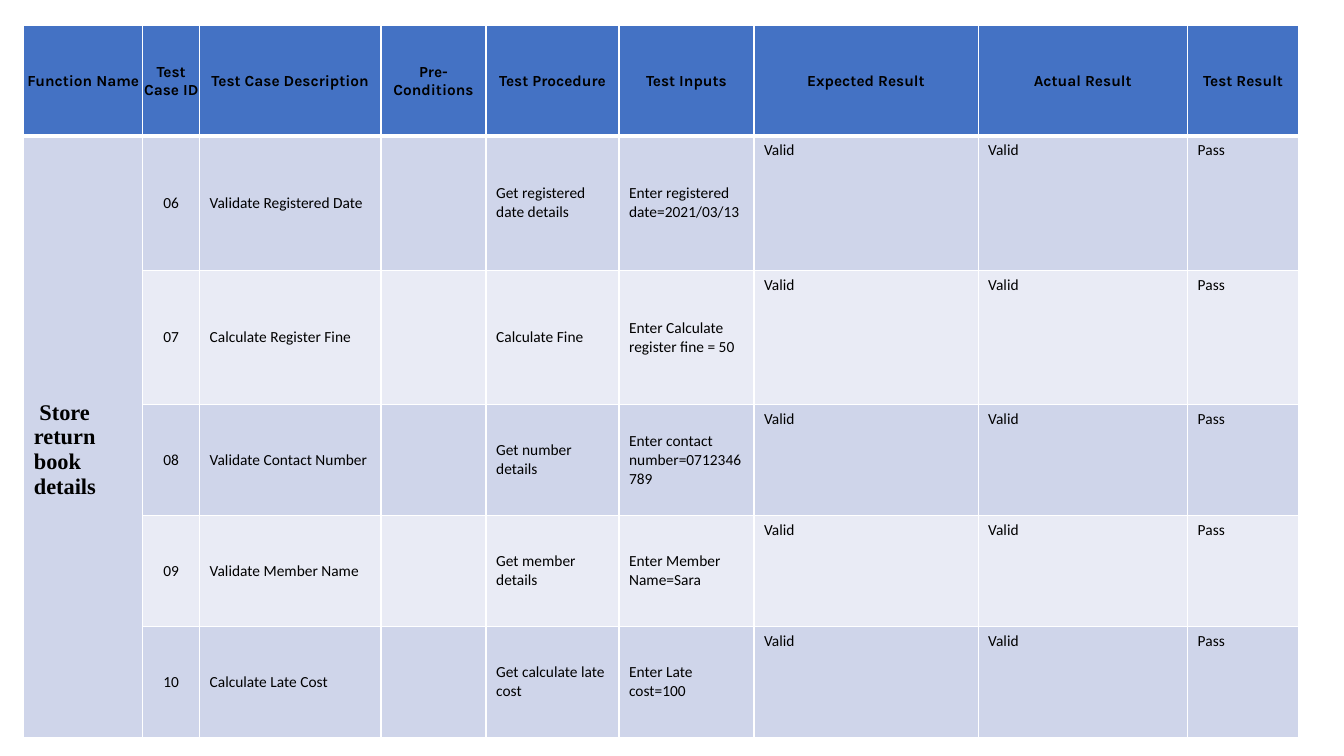
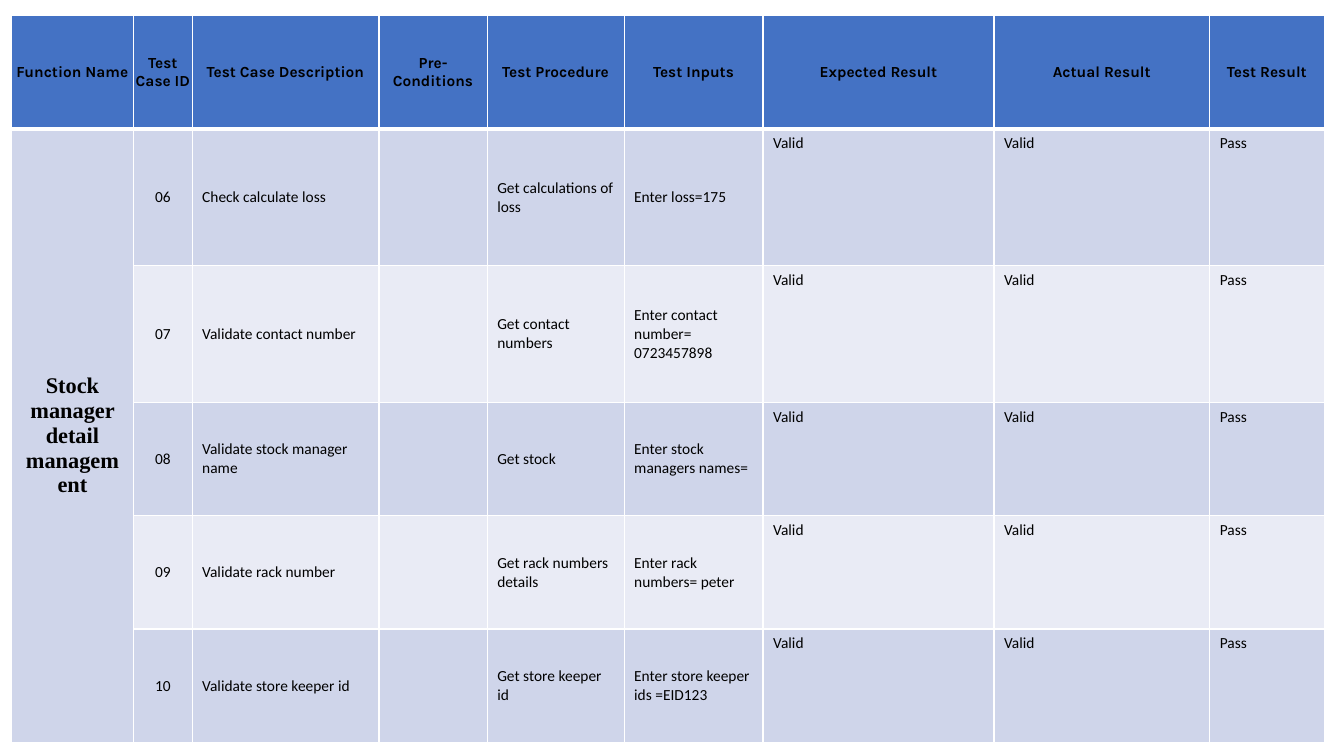
from lxml.etree import SubElement
from pptx import Presentation
from pptx.dml.color import RGBColor
from pptx.enum.text import MSO_ANCHOR as Anchor, PP_ALIGN as Align
from pptx.oxml.ns import qn
from pptx.util import Cm, Pt

COLOURS = {"header": "4472C4", "odd": "CFD5EA", "even": "E9EBF5", "border": "FFFFFF", "text": "000000"}
HEADERS = ["Function Name", "Test Case ID", "Test Case Description", "Pre-Conditions", "Test Procedure",
           "Test Inputs", "Expected Result", "Actual Result", "Test Result"]
COLUMN_WIDTHS = [3, 1.43, 4.57, 2.65, 3.35, 3.4, 5.65, 5.28, 2.8]
ROW_HEIGHTS = [2.8, 3.38, 3.38, 2.8, 2.8, 2.8]
FIRST_CASE = 6

RETURN_CASES = [
    ("Validate Registered Date", "Get registered date details", "Enter registered date=2021/03/13"),
    ("Calculate Register Fine", "Calculate Fine", "Enter Calculate register fine = 50"),
    ("Validate Contact Number", "Get number details", "Enter contact number=0712346789"),
    ("Validate Member Name", "Get member details", "Enter Member Name=Sara"),
    ("Calculate Late Cost", "Get calculate late cost", "Enter Late cost=100"),
]
STOCK_CASES = [
    ("Check calculate loss", "Get calculations of loss", "Enter loss=175"),
    ("Validate contact number", "Get contact numbers", "Enter contact number=\n0723457898"),
    ("Validate stock manager name", "Get stock", "Enter stock managers names="),
    ("Validate rack number", "Get rack numbers details", "Enter rack numbers= peter"),
    ("Validate store keeper id", "Get store keeper id", "Enter store keeper ids =EID123"),
]


def set_borders(cell, top=1, bottom=1):
    """Draw the four cell borders, with widths in points."""
    properties = cell._tc.get_or_add_tcPr()
    widths = {"a:lnL": 1, "a:lnR": 1, "a:lnT": top, "a:lnB": bottom}
    for position, (tag, width) in enumerate(widths.items()):
        line = SubElement(properties, qn(tag), w=str(Pt(width)))
        fill = SubElement(line, qn("a:solidFill"))
        SubElement(fill, qn("a:srgbClr"), val=COLOURS["border"])
        properties.insert(position, line)


def fill_cell(cell, colour, top=1, bottom=1):
    """Give a cell its background and borders."""
    cell.fill.solid()
    cell.fill.fore_color.rgb = RGBColor.from_string(COLOURS[colour])
    set_borders(cell, top, bottom)


def write_cell(cell, text, font="Calibri", size=11, bold=False, align=Align.LEFT, anchor=Anchor.MIDDLE):
    """Write formatted text into a cell."""
    cell.text = text
    cell.vertical_anchor = anchor
    for paragraph in cell.text_frame.paragraphs:
        paragraph.alignment = align
        paragraph.font.name = font
        paragraph.font.size = Pt(size)
        paragraph.font.bold = bold
        paragraph.font.color.rgb = RGBColor.from_string(COLOURS["text"])


def write_header(table):
    """Write the header row."""
    for cell, text in zip(table.rows[0].cells, HEADERS):
        fill_cell(cell, "header", bottom=3)
        cell.margin_left = cell.margin_right = cell.margin_top = Cm(0.03)
        cell.margin_bottom = 0
        write_cell(cell, text, font="Karla", bold=True, align=Align.CENTER)


def write_case(table, row, case):
    """Write one test case row."""
    description, procedure, inputs = case
    texts = ["", f"{FIRST_CASE + row - 1:02}", description, "", procedure, inputs, "Valid", "Valid", "Pass"]
    for column, text in enumerate(texts):
        cell = table.cell(row, column)
        fill_cell(cell, "odd" if row % 2 or column == 0 else "even", top=3 if row == 1 else 1)
        if text:
            write_cell(cell, text, align=Align.CENTER if column == 1 else Align.LEFT,
                       anchor=Anchor.TOP if column > 5 else Anchor.MIDDLE)


def add_test_slide(presentation, function, cases, left, top, width_scale=1, height_scale=1, align=Align.LEFT):
    """Add a slide with the test table of one function and return its function cell."""
    slide = presentation.slides.add_slide(presentation.slide_layouts[6])
    widths = [Cm(width * width_scale) for width in COLUMN_WIDTHS]
    heights = [Cm(height * height_scale) for height in ROW_HEIGHTS]
    frame = slide.shapes.add_table(len(heights), len(widths), Cm(left), Cm(top), sum(widths), sum(heights))
    table = frame.table
    for column, width in zip(table.columns, widths):
        column.width = width
    for row, height in zip(table.rows, heights):
        row.height = height
    write_header(table)
    for row, case in enumerate(cases, 1):
        write_case(table, row, case)
    function_cell = table.cell(1, 0)
    function_cell.merge(table.cell(len(cases), 0))
    write_cell(function_cell, function, font="Times New Roman", size=16, bold=True, align=align)
    return function_cell


def main():
    """Build and save the presentation."""
    presentation = Presentation()
    presentation.slide_width, presentation.slide_height = Cm(33.87), Cm(19.05)
    function_cell = add_test_slide(presentation, " Store return book details", RETURN_CASES, 0.6, 0.63)
    function_cell.margin_top = Cm(0.78)
    add_test_slide(presentation, "Stock manager detail management", STOCK_CASES, 0.28, 0.39,
                   width_scale=1.03, height_scale=1.02, align=Align.CENTER)
    presentation.save("out.pptx")


if __name__ == "__main__":
    main()
